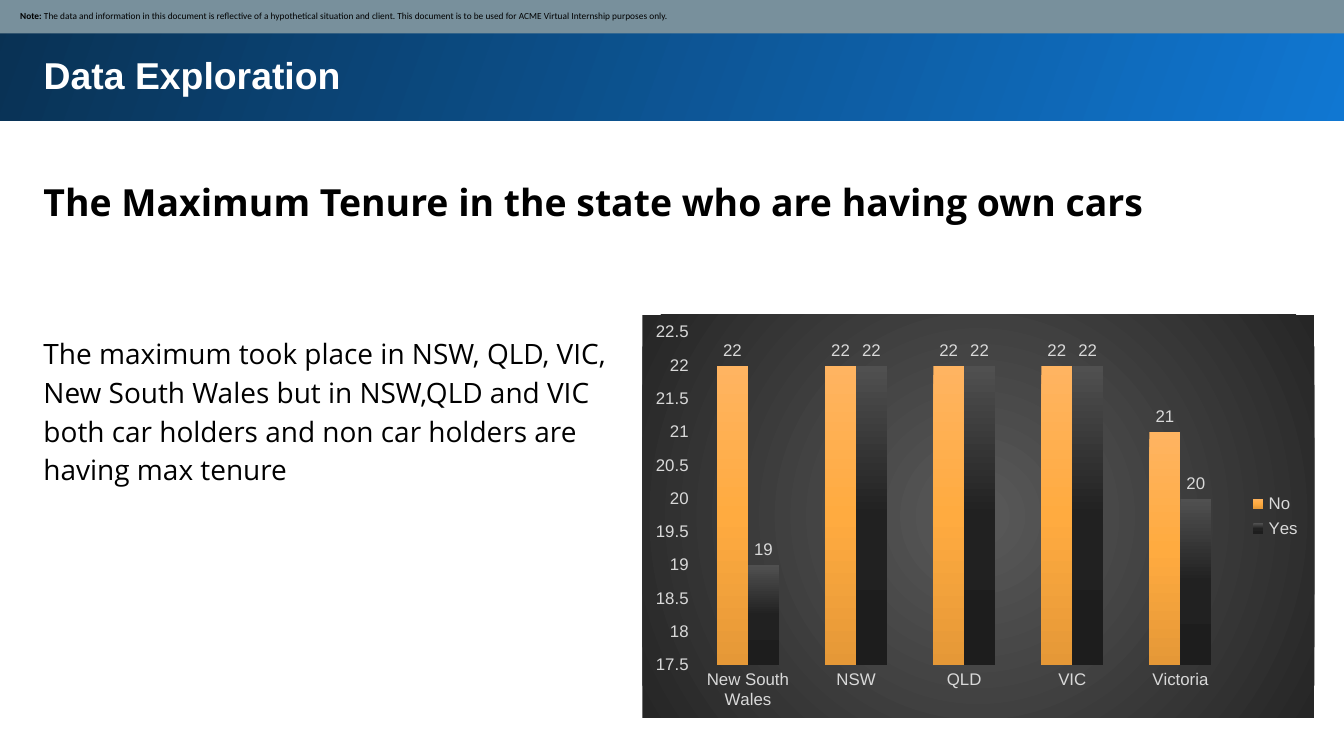
import pptx
import pptx.chart.data
import pptx.dml.color
import pptx.enum.chart
import pptx.enum.shapes
import pptx.enum.text
import pptx.oxml
import pptx.oxml.ns
import pptx.util
from lxml import etree

WIDTH = pptx.util.Inches(10)
HEIGHT = WIDTH * 9 // 16
LEFT, FULL = 2.25, 93.7
PALE = "D9D9D9"
CATEGORIES = ["New South Wales", "NSW", "QLD", "VIC", "Victoria"]
SERIES = [
    ("No", [22, 22, 22, 22, 21], ["FFB461", "FFAB40", "E59837"]),
    ("Yes", [19, 22, 22, 22, 20], ["505050", "212121", "1D1D1D"]),
]


def color(value):
    """Turn a hex string into a colour."""
    return pptx.dml.color.RGBColor.from_string(value)


def area(left, top, width, height):
    """Turn percentages of the slide's size into lengths."""
    shares = (left, WIDTH), (top, HEIGHT), (width, WIDTH), (height, HEIGHT)
    return [round(share * side / 100) for share, side in shares]


def style(font, size, shade, name="Arial", bold=False):
    """Set the look of a font."""
    font.size, font.name, font.bold = pptx.util.Pt(size), name, bold
    font.color.rgb = color(shade)


def gradient(shades, angle=None):
    """Make a gradient of evenly spaced stops, circular without an angle."""
    step = 100000 // (len(shades) - 1)
    stops = "".join(
        f'<a:gs pos="{i * step}"><a:srgbClr val="{shade}"/></a:gs>' for i, shade in enumerate(shades)
    )
    if angle is None:
        course = '<a:path path="circle"><a:fillToRect l="50000" t="50000" r="50000" b="50000"/></a:path>'
    else:
        course = f'<a:lin ang="{angle * 60000}" scaled="0"/>'
    return pptx.oxml.parse_xml(
        f'<a:gradFill {pptx.oxml.ns.nsdecls("a")}><a:gsLst>{stops}</a:gsLst>{course}</a:gradFill>'
    )


def swap_fill(properties, fill):
    """Replace a solid fill by a gradient."""
    properties.replace(properties.find(pptx.oxml.ns.qn("a:solidFill")), fill)


def add_bar(page, place, shade):
    """Add a plain rectangle without outline."""
    bar = page.shapes.add_shape(pptx.enum.shapes.MSO_SHAPE.RECTANGLE, *area(*place))
    bar.shadow.inherit = False
    bar.fill.solid()
    bar.fill.fore_color.rgb = color(shade)
    bar.line.fill.background()
    return bar


def write(box, spans, inset=0.1, left=0.1, spacing=1, anchor=pptx.enum.text.MSO_ANCHOR.TOP):
    """Fill a box with one left-aligned paragraph of styled spans."""
    frame = box.text_frame
    frame.word_wrap = True
    frame.auto_size = pptx.enum.text.MSO_AUTO_SIZE.NONE
    frame.vertical_anchor = anchor
    frame.margin_top = frame.margin_right = frame.margin_bottom = pptx.util.Inches(inset)
    frame.margin_left = pptx.util.Inches(left)
    para = frame.paragraphs[0]
    para.alignment = pptx.enum.text.PP_ALIGN.LEFT
    para.line_spacing = spacing
    for text, *look in spans:
        span = para.add_run()
        span.text = text
        style(span.font, *look)


def add_text(page, place, *spans):
    """Add a text box with loose line spacing."""
    write(page.shapes.add_textbox(*area(*place)), spans, spacing=1.15)


def place_title(page, place, text):
    """Move the title in front of the band and fill it."""
    title = page.shapes.title
    title.left, title.top, title.width, title.height = area(*place)
    title.element.getparent().append(title.element)
    write(title, [(text, 20, "FFFFFF", "Arial", True)])


def style_axis(axis):
    """Leave only the labels of an axis."""
    axis.has_major_gridlines = False
    axis.major_tick_mark = axis.minor_tick_mark = pptx.enum.chart.XL_TICK_MARK.NONE
    axis.format.line.fill.background()
    style(axis.tick_labels.font, 9, PALE)


def add_tenure_chart(page, place):
    """Add the clustered columns of tenure by state."""
    data = pptx.chart.data.CategoryChartData()
    data.categories = CATEGORIES
    for name, values, _ in SERIES:
        data.add_series(name, values)
    kind = pptx.enum.chart.XL_CHART_TYPE.COLUMN_CLUSTERED
    chart = page.shapes.add_chart(kind, *area(*place), data).chart
    chart.has_title = False
    style(chart.font, 10, "000000")
    chart.has_legend = True
    chart.legend.position = pptx.enum.chart.XL_LEGEND_POSITION.RIGHT
    chart.legend.include_in_layout = False
    style(chart.legend.font, 9, PALE)

    style_axis(chart.category_axis)
    style_axis(chart.value_axis)
    chart.value_axis.minimum_scale, chart.value_axis.maximum_scale = 17.5, 22.5
    chart.value_axis.major_unit = 0.5

    plot = chart.plots[0]
    plot.gap_width, plot.overlap, plot.vary_by_categories = 150, 0, False
    columns = chart.element.iter(pptx.oxml.ns.qn("c:ser"))
    for series, column, (_, _, shades) in zip(plot.series, columns, SERIES):
        series.format.fill.solid()
        swap_fill(column.find(pptx.oxml.ns.qn("c:spPr")), gradient(shades, 90))
        labels = series.data_labels
        labels.show_value = True
        labels.position = pptx.enum.chart.XL_LABEL_POSITION.OUTSIDE_END
        style(labels.font, 9, PALE)

    backdrop = etree.Element(pptx.oxml.ns.qn("c:spPr"))
    backdrop.append(gradient(["595959", "262626"]))
    etree.SubElement(etree.SubElement(backdrop, pptx.oxml.ns.qn("a:ln")), pptx.oxml.ns.qn("a:noFill"))
    chart.element.find(pptx.oxml.ns.qn("c:chart")).addnext(backdrop)


def main():
    """Build the deck and save it."""
    deck = pptx.Presentation()
    deck.slide_width, deck.slide_height = WIDTH, HEIGHT
    page = deck.slides.add_slide(deck.slide_layouts[5])

    band = add_bar(page, (-0.2, -0.36, 100.5, 16.36), "1077D2")
    swap_fill(band.element.spPr, gradient(["1077D2", "093153"], 200))
    place_title(page, (LEFT, 5.16, FULL, 9.07), "Data Exploration")
    add_text(
        page, (LEFT, 20.98, FULL, 9.96),
        ("The Maximum Tenure in the state who are having own cars", 20, "000000", "Open Sans", True),
    )
    add_text(
        page, (LEFT, 42.13, 45.2, 23.82),
        ("The maximum took place in NSW, QLD, VIC, New South Wales but in NSW,QLD and VIC "
         "both car holders and non car holders are having max tenure", 15, "000000", "Open Sans"),
    )
    strip = add_bar(page, (-0.1, -0.18, 100.3, 4.62), "78909C")
    note = [
        ("Note: ", 5, "000000", "Calibri", True),
        ("The data and information in this document is reflective of a hypothetical situation and client. "
         "This document is to be used for ACME Virtual Internship purposes only.", 5, "000000", "Calibri"),
    ]
    write(strip, note, inset=0.05, left=0.16, anchor=pptx.enum.text.MSO_ANCHOR.MIDDLE)
    add_tenure_chart(page, (47.8, 41.6, 50, 53.33))
    deck.save("out.pptx")


if __name__ == "__main__":
    main()
